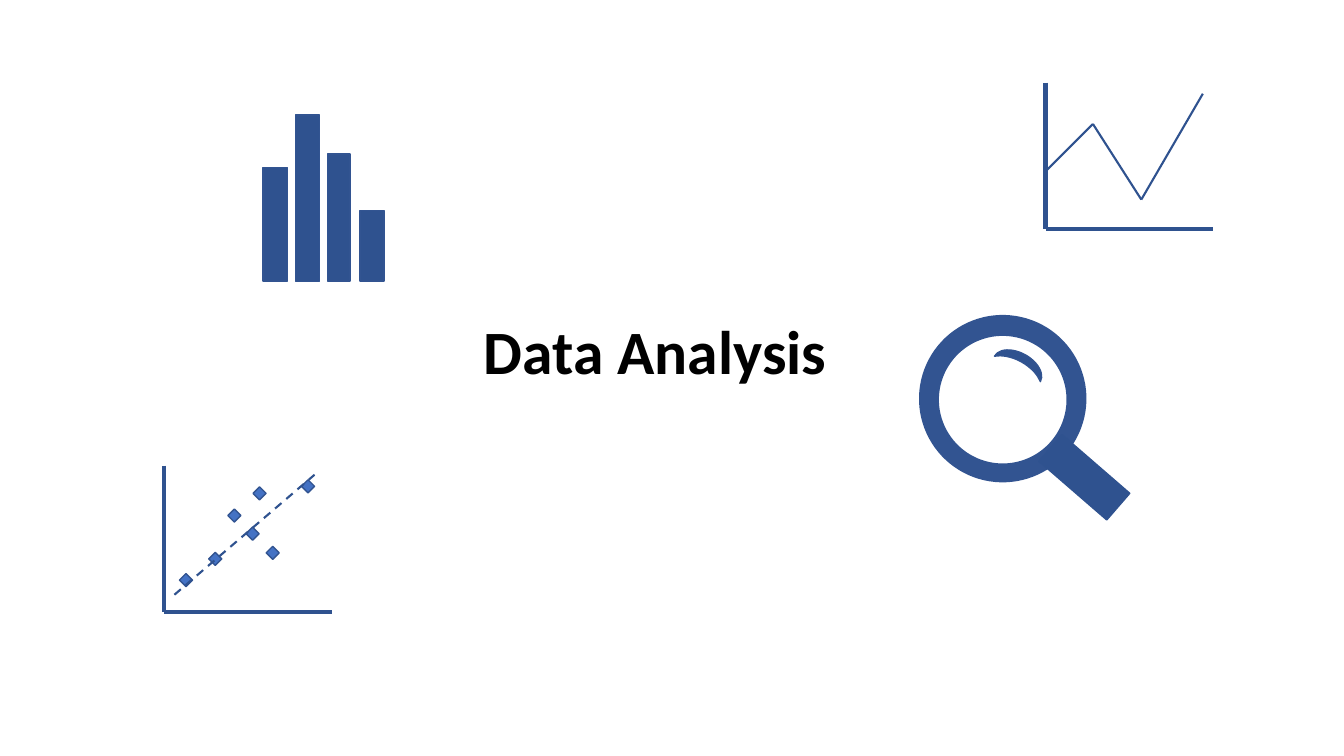
from itertools import pairwise

from pptx import Presentation
from pptx.dml.color import RGBColor
from pptx.enum import dml, shapes, text
from pptx.oxml.ns import qn
from pptx.util import Inches, Pt

COLORS = {"navy": "2F528F", "outline": "325491", "marker": "4472C4", "title": "000000"}
SHAPE = shapes.MSO_SHAPE


def rgb(name):
    return RGBColor.from_string(COLORS[name])


def add_title(slide, wording):
    title = slide.shapes.title
    title.left, title.top = Inches(0.75), Inches(2.79)
    title.width, title.height = Inches(11.5), Inches(1.45)
    frame = title.text_frame
    frame.vertical_anchor = text.MSO_ANCHOR.MIDDLE
    paragraph = frame.paragraphs[0]
    paragraph.alignment = text.PP_ALIGN.CENTER
    paragraph.line_spacing = 0.9
    run = paragraph.add_run()
    run.text = wording
    run.font.name = "Calibri"
    run.font.size = Pt(44)
    run.font.bold = True
    run.font.color.rgb = rgb("title")


def add_part(icon, kind, left, top, width, height, fill="navy",
             outline="outline", weight=1, rotation=0):
    """Add a preset shape to an icon; fill None leaves it hollow."""
    part = icon.shapes.add_shape(
        kind, Inches(left), Inches(top), Inches(width), Inches(height))
    part.rotation = rotation
    part.shadow.inherit = False
    if fill:
        part.fill.solid()
        part.fill.fore_color.rgb = rgb(fill)
    else:
        part.fill.background()
    part.line.color.rgb = rgb(outline)
    part.line.width = Pt(weight)


def add_line(icon, start, end, weight=1.5, dashed=False):
    line = icon.shapes.add_connector(
        shapes.MSO_CONNECTOR.STRAIGHT, *map(Inches, start + end))
    line.line.color.rgb = rgb("navy")
    line.line.width = Pt(weight)
    if dashed:
        line.line.dash_style = dml.MSO_LINE.DASH
    properties = line._element.spPr
    properties.append(properties.makeelement(qn("a:effectLst"), {}))


def add_axes(icon, left, bottom, width=1.66, height=1.45):
    origin = (left, bottom)
    add_line(icon, (left, bottom - height), origin, weight=3)
    add_line(icon, (left + width, bottom), origin, weight=3)


def add_magnifier(slide):
    icon = slide.shapes.add_group_shape()
    for left, top, size, weight in [(9.17, 3.18, 1.55, 8), (9.26, 3.28, 1.37, 7.5)]:
        add_part(icon, SHAPE.OVAL, left, top, size, size, fill=None,
                 weight=weight, rotation=357.9)
    add_part(icon, SHAPE.RECTANGLE, 10.31, 4.56, 0.89, 0.35,
             outline="navy", rotation=40.9)
    add_part(icon, SHAPE.MOON, 10.05, 3.33, 0.16, 0.52, rotation=119)


def add_bar_icon(slide):
    icon = slide.shapes.add_group_shape()
    baseline, first, pitch = 2.79, 2.61, 0.32
    bars = [(0.24, 1.13), (0.24, 1.65), (0.22, 1.26), (0.24, 0.7)]
    for index, (width, height) in enumerate(bars):
        add_part(icon, SHAPE.RECTANGLE, first + index * pitch,
                 baseline - height, width, height)


def add_scatter_icon(slide):
    icon = slide.shapes.add_group_shape()
    add_axes(icon, 1.63, 6.07)
    points = [(2.44, 5.23), (2.26, 5.05), (2.07, 5.48), (2.64, 5.42),
              (2.51, 4.83), (1.78, 5.69), (2.99, 4.76)]
    for left, top in points:
        add_part(icon, SHAPE.DIAMOND, left, top, 0.13, 0.13, fill="marker")
    add_line(icon, (1.73, 5.9), (3.12, 4.71), dashed=True)


def add_trend_icon(slide):
    icon = slide.shapes.add_group_shape()
    add_axes(icon, 10.37, 2.27)
    trend = [(10.37, 1.7), (10.84, 1.23), (11.32, 1.98), (11.93, 0.93)]
    for start, end in pairwise(trend):
        add_line(icon, start, end)


def main():
    deck = Presentation()
    deck.slide_width, deck.slide_height = Inches(13.33), Inches(7.5)
    slide = deck.slides.add_slide(deck.slide_layouts.get_by_name("Title Only"))
    add_title(slide, "Data Analysis")
    add_magnifier(slide)
    add_bar_icon(slide)
    add_scatter_icon(slide)
    add_trend_icon(slide)
    deck.save("out.pptx")


if __name__ == "__main__":
    main()
